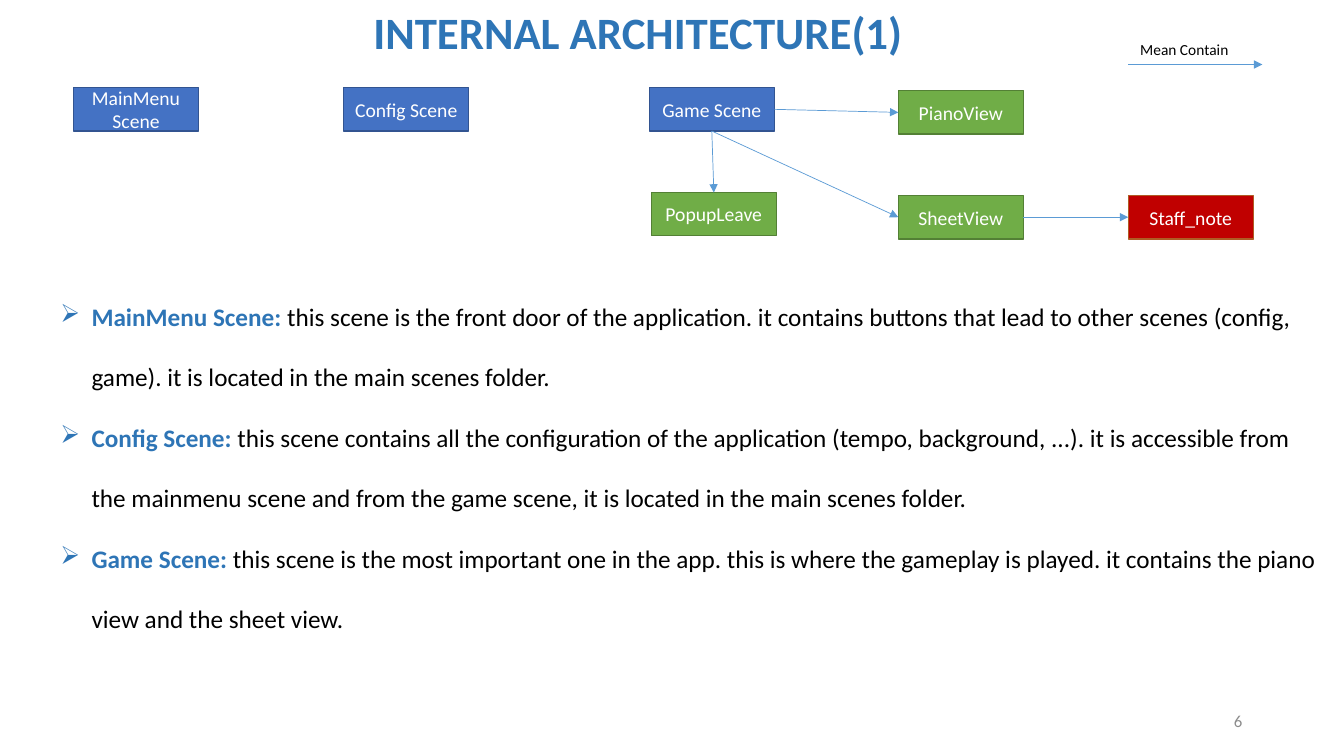
import pptx
import pptx.util
import pptx.dml.color
import pptx.enum.shapes
import pptx.enum.text
import pptx.oxml.ns
from lxml import etree
from pptx.util import Inches

FONT = "Calibri"
TITLE_BLUE = "2E75B6"
ARROW_BLUE = "5B9BD5"
BOX_W, BOX_H = 1.24, 0.43
TOP, LEFT, BOTTOM, RIGHT = range(4)
ALIGN = pptx.enum.text.PP_ALIGN
ANCHOR = pptx.enum.text.MSO_ANCHOR

# Fill and line colour of each kind of box
SCENE = ("4472C4", "325491")
VIEW = ("70AD47", "538035")
NOTE = ("C00000", "AF5C24")

# Name, left, top, colours
BOXES = [
    ("MainMenu Scene", 0.73, 0.87, SCENE),
    ("Config Scene", 3.41, 0.87, SCENE),
    ("Game Scene", 6.44, 0.87, SCENE),
    ("Staff_note", 11.19, 1.94, NOTE),
    ("SheetView", 8.91, 1.94, VIEW),
    ("PianoView", 8.91, 0.9, VIEW),
    ("PopupLeave", 6.46, 1.91, VIEW),
]

# Container, side, content, side
CONTAINS = [
    ("Game Scene", BOTTOM, "PopupLeave", TOP),
    ("Game Scene", BOTTOM, "SheetView", LEFT),
    ("Game Scene", RIGHT, "PianoView", LEFT),
    ("SheetView", RIGHT, "Staff_note", LEFT),
]

DESCRIPTIONS = [
    ("MainMenu Scene: ",
     "this scene is the front door of the application. it contains buttons that lead to "
     "other scenes (config, game). it is located in the main scenes folder."),
    ("Config Scene: ",
     "this scene contains all the configuration of the application (tempo, background, ...). "
     "it is accessible from the mainmenu scene and from the game scene, it is located in the "
     "main scenes folder."),
    ("Game Scene: ",
     "this scene is the most important one in the app. this is where the gameplay is played. "
     "it contains the piano view and the sheet view."),
]


def rgb(color):
    return pptx.dml.color.RGBColor.from_string(color)


def add_run(p, text, size=18, color="000000", bold=False):
    r = p.add_run()
    r.text = text
    r.font.name = FONT
    r.font.size = pptx.util.Pt(size)
    r.font.bold = bold
    r.font.color.rgb = rgb(color)


def add_text_frame(slide, left, top, width, height, anchor=ANCHOR.TOP):
    sp = slide.shapes.add_textbox(Inches(left), Inches(top), Inches(width), Inches(height))
    tf = sp.text_frame
    tf.word_wrap = True
    tf.vertical_anchor = anchor
    return tf


def add_label(slide, text, left, top, width, height, align=ALIGN.LEFT,
              anchor=ANCHOR.TOP, **font):
    p = add_text_frame(slide, left, top, width, height, anchor).paragraphs[0]
    p.alignment = align
    add_run(p, text, **font)


def add_box(slide, name, left, top, colors):
    sp = slide.shapes.add_shape(pptx.enum.shapes.MSO_SHAPE.RECTANGLE, Inches(left),
                                Inches(top), Inches(BOX_W), Inches(BOX_H))
    fill, line = colors
    sp.shadow.inherit = False
    sp.fill.solid()
    sp.fill.fore_color.rgb = rgb(fill)
    sp.line.color.rgb = rgb(line)
    sp.line.width = pptx.util.Pt(1)
    tf = sp.text_frame
    tf.word_wrap = True
    tf.vertical_anchor = ANCHOR.MIDDLE
    p = tf.paragraphs[0]
    p.alignment = ALIGN.CENTER
    add_run(p, name, size=14, color="FFFFFF")
    return sp


def add_arrow(slide, x1=0, y1=0, x2=0, y2=0):
    cxn = slide.shapes.add_connector(pptx.enum.shapes.MSO_CONNECTOR.STRAIGHT,
                                     Inches(x1), Inches(y1), Inches(x2), Inches(y2))
    cxn.line.color.rgb = rgb(ARROW_BLUE)
    cxn.line.width = pptx.util.Pt(0.5)
    qn = pptx.oxml.ns.qn
    etree.SubElement(cxn.line._get_or_add_ln(), qn("a:tailEnd"), type="triangle")
    etree.SubElement(cxn._element.spPr, qn("a:effectLst"))
    return cxn


def add_bullet(p, char="➢", indent=0.31):
    pPr = p._p.get_or_add_pPr()
    pPr.set("marL", str(Inches(indent)))
    pPr.set("indent", str(-Inches(indent)))
    etree.SubElement(pPr, pptx.oxml.ns.qn("a:buChar"), char=char)


def add_descriptions(slide):
    tf = add_text_frame(slide, 0.5, 2.64, 12.66, 3.74)
    for i, (scene, description) in enumerate(DESCRIPTIONS):
        p = tf.add_paragraph() if i else tf.paragraphs[0]
        p.line_spacing = 2.0
        add_bullet(p)
        add_run(p, scene, color=TITLE_BLUE, bold=True)
        add_run(p, description)


def main():
    prs = pptx.Presentation()
    prs.slide_width, prs.slide_height = Inches(13.33), Inches(7.5)
    slide = prs.slides.add_slide(prs.slide_layouts[6])

    # Title
    add_label(slide, "INTERNAL ARCHITECTURE(1)", 3.41, 0, 5.84, 0.64,
              align=ALIGN.CENTER, size=32, color=TITLE_BLUE, bold=True)

    # Diagram
    boxes = {name: add_box(slide, name, left, top, colors)
             for name, left, top, colors in BOXES}
    for container, start, content, end in CONTAINS:
        cxn = add_arrow(slide)
        cxn.begin_connect(boxes[container], start)
        cxn.end_connect(boxes[content], end)

    # Legend
    add_arrow(slide, 11.19, 0.64, 12.52, 0.64)
    add_label(slide, "Mean Contain", 11.21, 0.35, 1.32, 0.29, size=11)

    # Scene descriptions
    add_descriptions(slide)

    # Slide number
    add_label(slide, "6", 9.42, 6.95, 3, 0.4, align=ALIGN.RIGHT,
              anchor=ANCHOR.MIDDLE, size=12, color="8C8C8C")

    prs.save("out.pptx")


if __name__ == "__main__":
    main()
